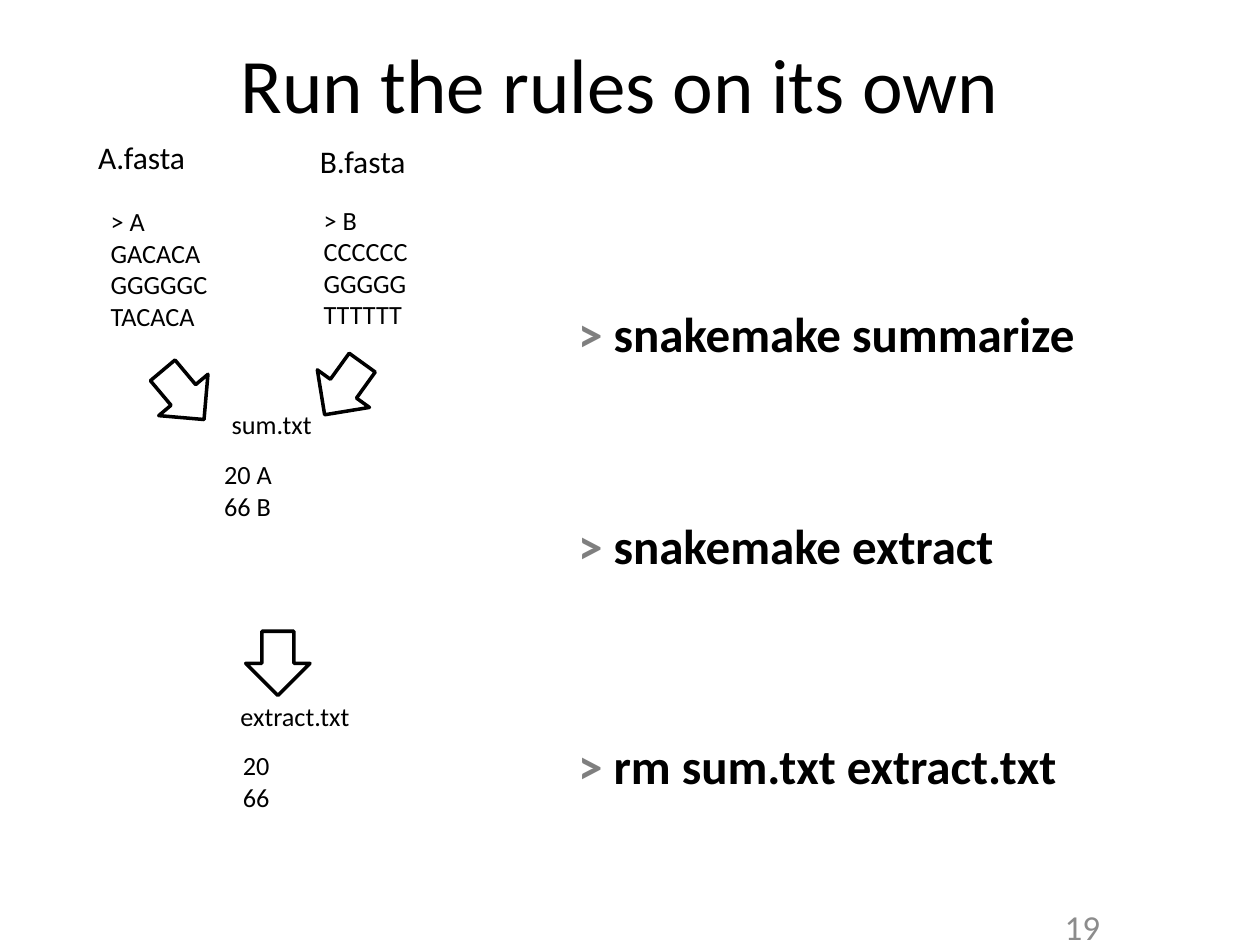
"""Build the slide that shows each workflow rule being run on its own."""
from dataclasses import dataclass

from pptx import Presentation
from pptx.dml.color import RGBColor
from pptx.enum import shapes, text
from pptx.util import Emu, Pt

PX = 9144
BLACK = RGBColor(0x00, 0x00, 0x00)
WHITE = RGBColor(0xFF, 0xFF, 0xFF)
PROMPT_GRAY = RGBColor(0x7F, 0x7F, 0x7F)
NUMBER_GRAY = RGBColor(0x8C, 0x8C, 0x8C)
FONT = "Calibri"
COMMAND_LEFT, COMMAND_HEIGHT = 449, 57
ARROW_SIDE = 51


@dataclass(frozen=True)
class Label:
    lines: tuple[str, ...]
    left: int
    top: int
    width: int
    height: int
    size: int = 15


@dataclass(frozen=True)
class Arrow:
    left: int
    top: int
    rotation: float


@dataclass(frozen=True)
class Command:
    words: str
    top: int
    width: int


LABELS = (
    Label(("A.fasta",), 68, 105, 95, 40, 18),
    Label(("B.fasta",), 244, 108, 94, 40, 18),
    Label(("> A", "GACACA", "GGGGGC", "TACACA"), 78, 158, 97, 162),
    Label(("> B", "CCCCCC", "GGGGG", "TTTTTT"), 247, 157, 90, 162),
    Label(("sum.txt",), 174, 319, 89, 35),
    Label(("20 A", "66 B"), 168, 359, 60, 61),
    Label(("extract.txt",), 181, 551, 115, 35),
    Label(("20", "66"), 183, 590, 43, 61),
)
ARROWS = (Arrow(120, 288, 50), Arrow(247, 283, 125.8), Arrow(195, 501, 90))
COMMANDS = (
    Command("snakemake summarize", 236, 431),
    Command("snakemake extract", 404, 367),
    Command("rm sum.txt extract.txt", 579, 422),
)


def box(*lengths: int) -> tuple[Emu, ...]:
    """Turn px lengths into EMU."""
    return tuple(Emu(length * PX) for length in lengths)


def apply(target, **values) -> None:
    """Set every given attribute on the target."""
    for name, value in values.items():
        setattr(target, name, value)


def add_run(paragraph, words: str, size: int, color: RGBColor, bold: bool = False) -> None:
    """Append a formatted run to the paragraph."""
    run = paragraph.add_run()
    run.text = words
    apply(run.font, name=FONT, size=Pt(size), bold=bold)
    run.font.color.rgb = color


def add_frame(slide, *lengths: int):
    """Add a text box that fits its unwrapped text and return its frame."""
    frame = slide.shapes.add_textbox(*box(*lengths)).text_frame
    apply(frame, word_wrap=False, auto_size=text.MSO_AUTO_SIZE.SHAPE_TO_FIT_TEXT)
    return frame


def draw_label(slide, label: Label) -> None:
    """Draw a file name or the contents of a file."""
    frame = add_frame(slide, label.left, label.top, label.width, label.height)
    for index, line in enumerate(label.lines):
        paragraph = frame.add_paragraph() if index else frame.paragraphs[0]
        add_run(paragraph, line, label.size, BLACK)


def draw_arrow(slide, arrow: Arrow) -> None:
    """Draw an outlined block arrow between two files."""
    block = slide.shapes.add_shape(
        shapes.MSO_SHAPE.RIGHT_ARROW, *box(arrow.left, arrow.top, ARROW_SIDE, ARROW_SIDE)
    )
    block.rotation = arrow.rotation
    block.shadow.inherit = False
    block.fill.solid()
    block.fill.fore_color.rgb = WHITE
    block.line.color.rgb = BLACK
    block.line.width = Pt(2)


def draw_command(slide, command: Command) -> None:
    """Draw a shell command after its prompt."""
    frame = add_frame(slide, COMMAND_LEFT, command.top, command.width, COMMAND_HEIGHT)
    add_run(frame.paragraphs[0], "> ", 28, PROMPT_GRAY, bold=True)
    add_run(frame.paragraphs[0], command.words, 28, BLACK, bold=True)


def draw_title(slide, words: str) -> None:
    """Fill and place the title placeholder."""
    title = slide.shapes.title
    left, top, width, height = box(42, 3, 900, 125)
    apply(title, left=left, top=top, width=width, height=height)
    title.text_frame.vertical_anchor = text.MSO_ANCHOR.MIDDLE
    heading = title.text_frame.paragraphs[0]
    heading.alignment = text.PP_ALIGN.CENTER
    add_run(heading, words, 44, BLACK)


def draw_page_number(slide, number: str) -> None:
    """Draw the page number at the lower right."""
    frame = slide.shapes.add_textbox(*box(828, 708, 55, 54)).text_frame
    apply(frame, word_wrap=True, vertical_anchor=text.MSO_ANCHOR.MIDDLE)
    frame.paragraphs[0].alignment = text.PP_ALIGN.RIGHT
    add_run(frame.paragraphs[0], number, 20, NUMBER_GRAY)


def main() -> None:
    """Build and save the presentation."""
    deck = Presentation()
    deck.slide_width, deck.slide_height = box(1000, 750)
    slide = deck.slides.add_slide(deck.slide_layouts[5])
    draw_title(slide, "Run the rules on its own")
    for label in LABELS:
        draw_label(slide, label)
    for arrow in ARROWS:
        draw_arrow(slide, arrow)
    for command in COMMANDS:
        draw_command(slide, command)
    draw_page_number(slide, "19")
    deck.save("out.pptx")


if __name__ == "__main__":
    main()
